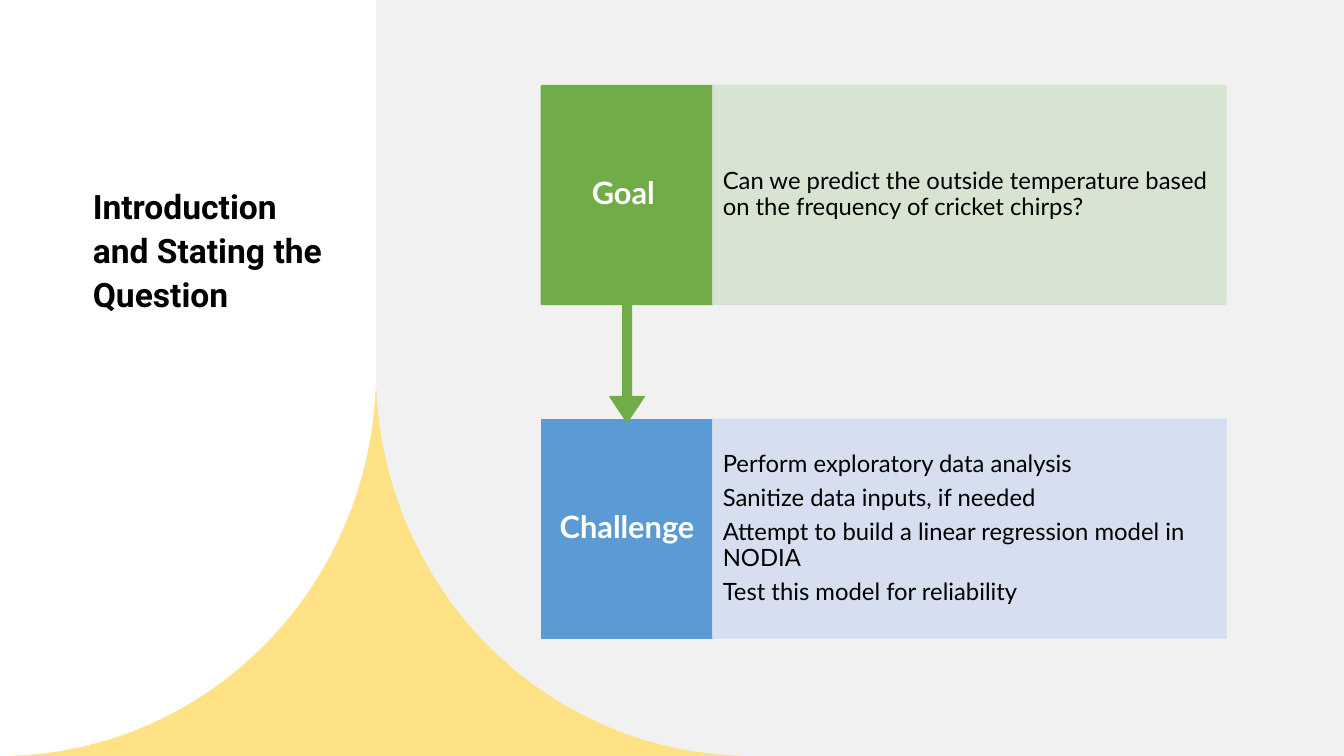
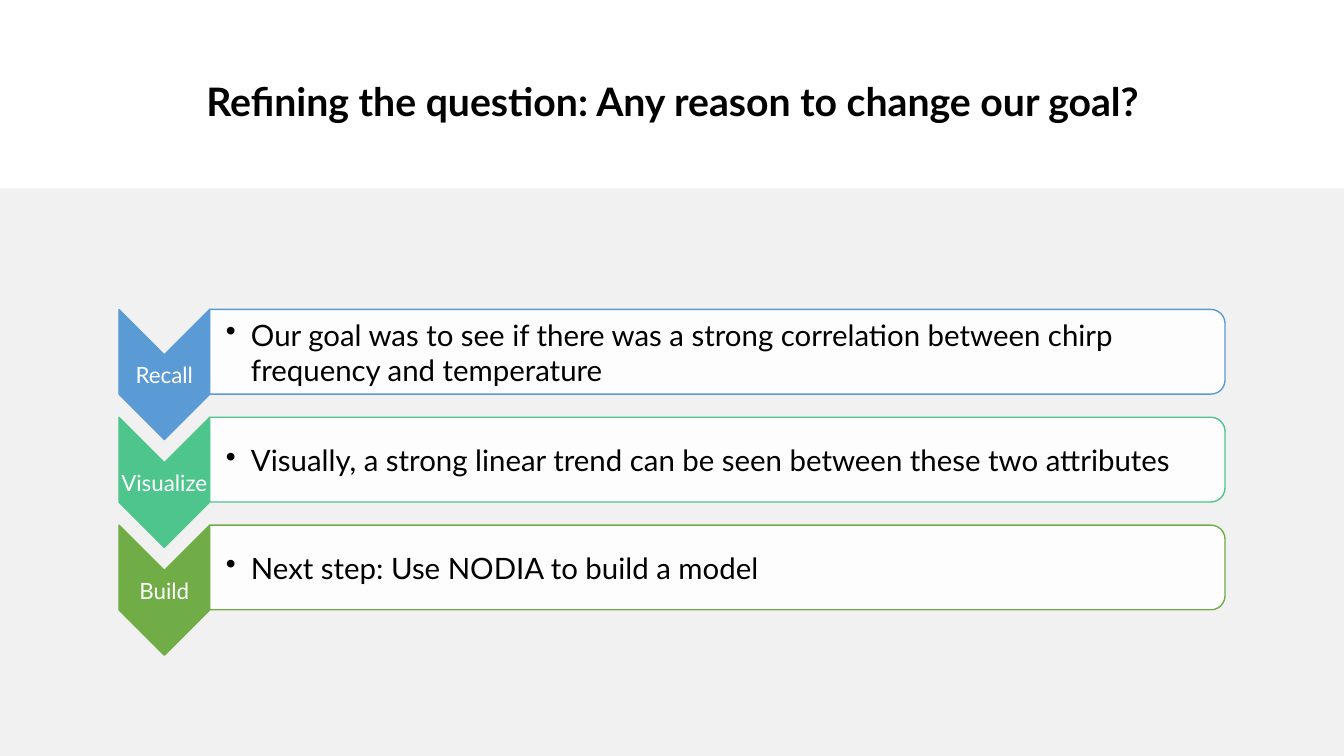
import math
from dataclasses import dataclass

import lxml.etree
import pptx
import pptx.dml.color
import pptx.enum.shapes
import pptx.enum.text
import pptx.oxml.ns
import pptx.util

Inches = pptx.util.Inches
Shape = pptx.enum.shapes.MSO_SHAPE
Align = pptx.enum.text.PP_ALIGN
Anchor = pptx.enum.text.MSO_ANCHOR
qn = pptx.oxml.ns.qn


@dataclass(frozen=True)
class Theme:
    width: float = 13.33
    height: float = 7.5
    font: str = "Lato"
    side_title_font: str = "Roboto"
    black: str = "000000"
    white: str = "FFFFFF"
    grey: str = "F2F1F1"
    yellow: str = "FFE186"
    blue: str = "5B9BD5"
    pale_blue: str = "D2DEEF"
    teal: str = "4DC58D"
    green: str = "70AD47"
    pale_green: str = "D5E3CF"
    side_title_size: int = 24
    title_size: int = 28
    heading_size: int = 22
    detail_size: int = 17
    step_size: int = 16
    bullet_size: int = 21
    alpha: int = 90


THEME = Theme()


# Formatting helpers
def set_values(target, values):
    for name, value in values.items():
        setattr(target, name, value)


def rgb(colour):
    return pptx.dml.color.RGBColor.from_string(colour)


def paint(shape, fill, line=None):
    shape.shadow.inherit = False
    shape.fill.solid()
    shape.fill.fore_color.rgb = rgb(fill)
    if line:
        shape.line.color.rgb = rgb(line)
        shape.line.width = pptx.util.Pt(1)
    else:
        shape.line.fill.background()


def make_translucent(element):
    """Apply the theme's opacity to every colour inside the element."""
    for colour in element.iter(qn("a:srgbClr")):
        alpha = lxml.etree.SubElement(colour, qn("a:alpha"))
        alpha.set("val", str(THEME.alpha * 1000))


def add_bullet(para, indent):
    settings = para._p.get_or_add_pPr()
    settings.set("marL", str(Inches(indent)))
    settings.set("indent", str(-Inches(indent)))
    bullet = lxml.etree.SubElement(settings, qn("a:buChar"))
    bullet.set("char", "•")


def write(box, lines, size, colour=THEME.black, font=THEME.font, bold=False,
          align=Align.LEFT, anchor=Anchor.MIDDLE, insets=(0.1, 0.05),
          spacing=1.0, after=0.0, bullet_indent=0):
    """Fill a box with paragraphs; insets are (sides, top and bottom)."""
    sides, ends = (Inches(inset) for inset in insets)
    set_values(box.text_frame, {
        "word_wrap": True, "auto_size": pptx.enum.text.MSO_AUTO_SIZE.NONE,
        "vertical_anchor": anchor, "margin_left": sides, "margin_right": sides,
        "margin_top": ends, "margin_bottom": ends})
    for number, line in enumerate(lines):
        frame = box.text_frame
        para = frame.add_paragraph() if number else frame.paragraphs[0]
        set_values(para, {"alignment": align, "line_spacing": spacing,
                          "space_before": pptx.util.Pt(0),
                          "space_after": pptx.util.Pt(size * after)})
        if bullet_indent:
            add_bullet(para, bullet_indent)
        span = para.add_run()
        span.text = line
        set_values(span.font, {"name": font, "size": pptx.util.Pt(size),
                               "bold": bold})
        span.font.color.rgb = rgb(colour)


# Element builders
def add_block(page, kind, place, fill, line=None):
    block = page.shapes.add_shape(kind, *map(Inches, place))
    paint(block, fill, line)
    return block


def add_turned_block(page, kind, place, fill, line):
    """Add a shape turned a quarter clockwise that appears at the given place."""
    left, top, width, height = place
    shift = (width - height) / 2
    block = add_block(page, kind, (left + shift, top - shift, height, width),
                      fill, line)
    block.rotation = 90
    return block


def add_text(page, place, lines, size, **style):
    box = page.shapes.add_textbox(*map(Inches, place))
    write(box, lines, size, **style)


def set_title(page, text, place, size, **style):
    title = page.shapes.title
    left, top, width, height = map(Inches, place)
    set_values(title, {"left": left, "top": top, "width": width,
                       "height": height})
    write(title, [text], size, bold=True, spacing=1.1, **style)
    # Bring the title in front of the panels
    title.element.getparent().append(title.element)


def add_curved_panel(page, edge, centre, colour):
    """Panel from an outer edge to the divider, ending in a quarter curve."""
    divider, curve_top, steps = 3.73, 3.69, 60
    points = [(divider, 0)]
    for step in range(steps + 1):
        angle = math.pi / 2 * step / steps
        points.append((centre + (divider - centre) * math.cos(angle),
                       curve_top + (THEME.height - curve_top) * math.sin(angle)))
    points.append((edge, THEME.height))
    builder = page.shapes.build_freeform(Inches(edge), 0, scale=1.0)
    builder.add_line_segments([(Inches(x), Inches(y)) for x, y in points])
    paint(builder.convert_to_shape(), colour)


def add_topic(page, top, heading, details, colour, pale, kind, full_height):
    """Coloured heading block with a pale block of details to its right."""
    left, height, heading_width, detail_width = 5.37, 2.17, 1.7, 5.09
    block = add_block(page, kind, (left, top, heading_width, full_height),
                      colour, colour)
    if kind == Shape.DOWN_ARROW_CALLOUT:
        for number, value in enumerate((0.05, 0.1, 0.15, height / full_height)):
            block.adjustments[number] = value
    write(block, [heading], THEME.heading_size, colour=THEME.white, bold=True,
          align=Align.CENTER, insets=(0.12, 0.17), spacing=0.9, after=0.35)
    panel = add_block(page, Shape.RECTANGLE,
                      (left + heading_width, top, detail_width, height),
                      pale, pale)
    make_translucent(panel.element.spPr)
    write(panel, details, THEME.detail_size, insets=(0.1, 0.24), spacing=0.9,
          after=0.35)


def add_step(page, top, name, detail, colour):
    """Downward chevron with its name, and a bar that holds the detail."""
    left, chevron_width, bar_width, bar_height = 1.18, 0.9, 10.07, 0.84
    bar_left = left + chevron_width
    add_turned_block(page, Shape.CHEVRON, (left, top, chevron_width, 1.29),
                     colour, colour)
    add_text(page, (left, top + 0.45, chevron_width, 0.39), [name],
             THEME.step_size, colour=THEME.white, align=Align.CENTER,
             insets=(0.01, 0.01), after=0.35)
    bar = add_turned_block(page, Shape.ROUND_2_SAME_RECTANGLE,
                           (bar_left, top, bar_width, bar_height),
                           THEME.white, colour)
    make_translucent(bar.element.spPr.find(qn("a:solidFill")))
    add_text(page, (bar_left, top + 0.05, 10.03, 0.75), [detail],
             THEME.bullet_size, insets=(0.16, 0.01), after=0.15,
             bullet_indent=0.25)


# Slides
def build_introduction(page):
    add_block(page, Shape.RECTANGLE, (0, 3.86, 7.37, 3.64), THEME.yellow)
    add_curved_panel(page, 0, 0, THEME.white)
    add_curved_panel(page, THEME.width, 7.46, THEME.grey)
    set_title(page, "Introduction and Stating the Question",
              (0.82, 1.75, 2.55, 2.73), THEME.side_title_size,
              font=THEME.side_title_font, anchor=Anchor.TOP)
    add_topic(page, 4.16, "Challenge",
              ["Perform exploratory data analysis",
               "Sanitize data inputs, if needed",
               "Attempt to build a linear regression model in NODIA",
               "Test this model for reliability"],
              THEME.blue, THEME.pale_blue, Shape.RECTANGLE, 2.17)
    add_topic(page, 0.85, "Goal ",
              ["Can we predict the outside temperature based on the frequency "
               "of cricket chirps?"],
              THEME.green, THEME.pale_green, Shape.DOWN_ARROW_CALLOUT, 3.34)


def build_refinement(page):
    add_block(page, Shape.RECTANGLE, (0, 1.87, THEME.width, 5.63), THEME.grey)
    set_title(page, "Refining the question: Any reason to change our goal?",
              (1.18, 0.49, 10.98, 0.97), THEME.title_size, align=Align.CENTER)
    steps = [
        ("Recall", "Our goal was to see if there was a strong correlation "
         "between chirp frequency and temperature", THEME.blue),
        ("Visualize", "Visually, a strong linear trend can be seen between "
         "these two attributes", THEME.teal),
        ("Build", "Next step: Use NODIA to build a model", THEME.green),
    ]
    for number, step in enumerate(steps):
        add_step(page, 3.07 + 1.07 * number, *step)


def main():
    deck = pptx.Presentation()
    set_values(deck, {"slide_width": Inches(THEME.width),
                      "slide_height": Inches(THEME.height)})
    title_only = deck.slide_layouts.get_by_name("Title Only")
    for build in (build_introduction, build_refinement):
        build(deck.slides.add_slide(title_only))
    deck.save("out.pptx")


if __name__ == "__main__":
    main()
